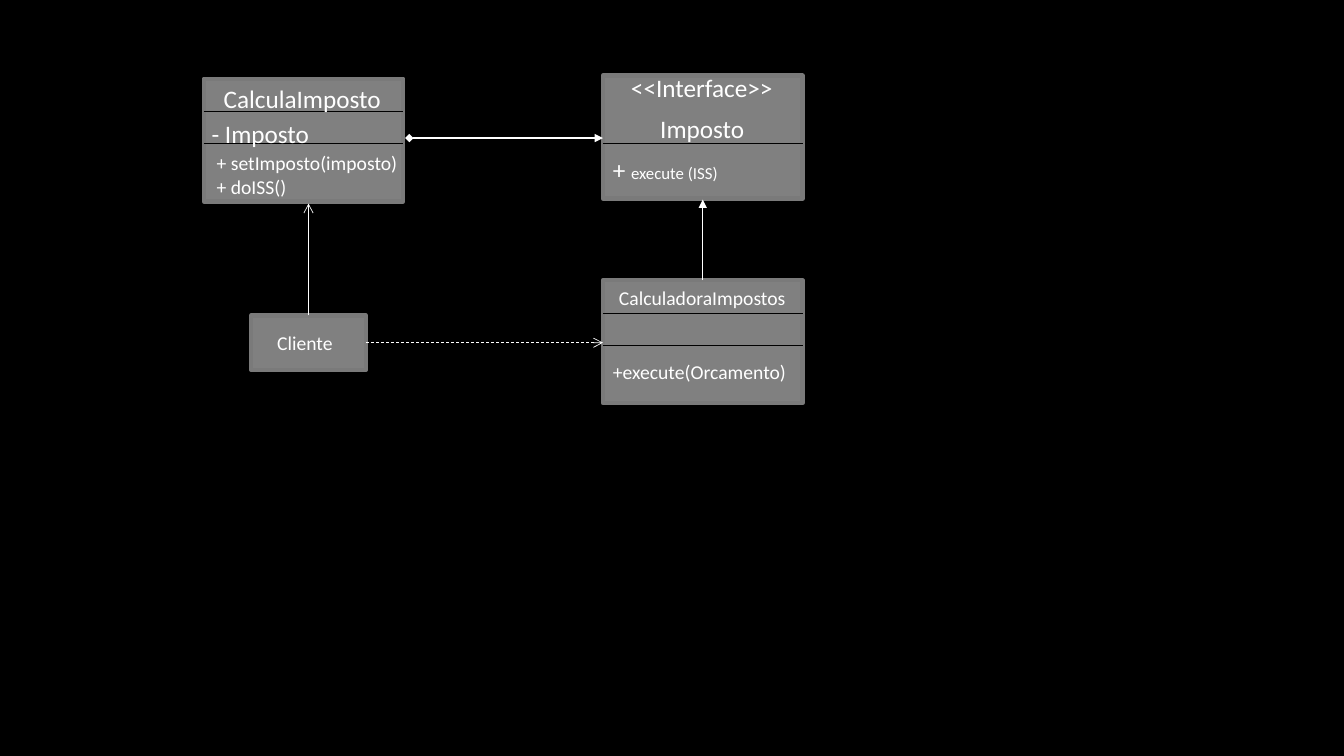
"""Build a class diagram of the tax calculator on a black slide."""
from lxml.etree import SubElement
from pptx import Presentation
from pptx.dml.color import RGBColor
from pptx.enum.dml import MSO_LINE
from pptx.enum.shapes import MSO_CONNECTOR, MSO_SHAPE
from pptx.oxml.ns import qn
from pptx.util import Inches, Pt

BLACK, WHITE, GREY, EDGE = "000000", "FFFFFF", "808080", "7A7A7A"
FONT = "Calibri"

# left, top, width, height, divider offsets from the top
CLASSES = [
    (2.02, 0.78, 1.98, 1.22, (0.32, 0.64)),
    (5.98, 0.75, 1.98, 1.22, (0.67,)),
    (2.49, 3.13, 1.14, 0.54, ()),
    (5.98, 2.78, 1.98, 1.22, (0.33, 0.65)),
]

# left, top, width, height, paragraphs of (text, size) runs
LABELS = [
    (2.12, 0.78, 1.78, 0.4, [[("CalculaImposto", 18)]]),
    (2.0, 1.12, 1.18, 0.4, [[("- Imposto", 18)]]),
    (2.05, 1.45, 2.01, 0.57, [[("+ setImposto(imposto)", 14)], [("+ doISS()", 14)]]),
    (6.16, 0.67, 1.62, 0.4, [[("<<Interface>>", 18)]]),
    (6.45, 1.08, 1.04, 0.4, [[("Imposto", 18)]]),
    (6.04, 2.79, 1.87, 0.34, [[("CalculadoraImpostos", 14)]]),
    (5.98, 1.48, 1.26, 0.4, [[("+ ", 18), ("execute (ISS)", 12)]]),
    (5.98, 3.52, 1.94, 0.34, [[("+execute(Orcamento)", 14)]]),
    (2.65, 3.23, 0.76, 0.34, [[("Cliente", 14)]]),
]

# start, end, width, head, tail, dashed
RELATIONS = [
    ((3.06, 3.13), (3.06, 2.02), 0.5, None, "arrow", False),
    ((3.63, 3.4), (5.98, 3.4), 0.5, None, "arrow", True),
    ((4.06, 1.37), (5.98, 1.37), 1, "diamond", "triangle", False),
    ((6.97, 2.78), (6.97, 1.98), 0.5, None, "triangle", False),
]


def rgb(color):
    return RGBColor.from_string(color)


def add_line(s, start, end, color, width, head=None, tail=None, dashed=False):
    points = [Inches(v) for v in (*start, *end)]
    line = s.shapes.add_connector(MSO_CONNECTOR.STRAIGHT, *points)
    line.line.color.rgb = rgb(color)
    line.line.width = Pt(width)
    if dashed:
        line.line.dash_style = MSO_LINE.DASH
    for tag, kind in (("a:headEnd", head), ("a:tailEnd", tail)):
        if kind:
            SubElement(line.line._get_or_add_ln(), qn(tag), type=kind)
    SubElement(line._element.spPr, qn("a:effectLst"))


def add_class(s, left, top, width, height, dividers):
    box = [Inches(v) for v in (left, top, width, height)]
    sp = s.shapes.add_shape(MSO_SHAPE.RECTANGLE, *box)
    sp.shadow.inherit = False
    sp.fill.solid()
    sp.fill.fore_color.rgb = rgb(GREY)
    sp.line.color.rgb = rgb(EDGE)
    sp.line.width = Pt(3)
    for offset in dividers:
        y = top + offset
        add_line(s, (left, y), (left + width, y), BLACK, 0.5)


def add_label(s, left, top, width, height, paragraphs):
    box = [Inches(v) for v in (left, top, width, height)]
    tf = s.shapes.add_textbox(*box).text_frame
    tf.word_wrap = False
    for i, runs in enumerate(paragraphs):
        p = tf.add_paragraph() if i else tf.paragraphs[0]
        for text, size in runs:
            r = p.add_run()
            r.text = text
            r.font.name = FONT
            r.font.size = Pt(size)
            r.font.color.rgb = rgb(WHITE)


prs = Presentation()
prs.slide_width, prs.slide_height = Inches(13.33), Inches(7.5)
s = prs.slides.add_slide(prs.slide_layouts[6])
s.background.fill.solid()
s.background.fill.fore_color.rgb = rgb(BLACK)

for item in CLASSES:
    add_class(s, *item)
for label in LABELS:
    add_label(s, *label)
for start, end, *style in RELATIONS:
    add_line(s, start, end, WHITE, *style)

prs.save("out.pptx")
